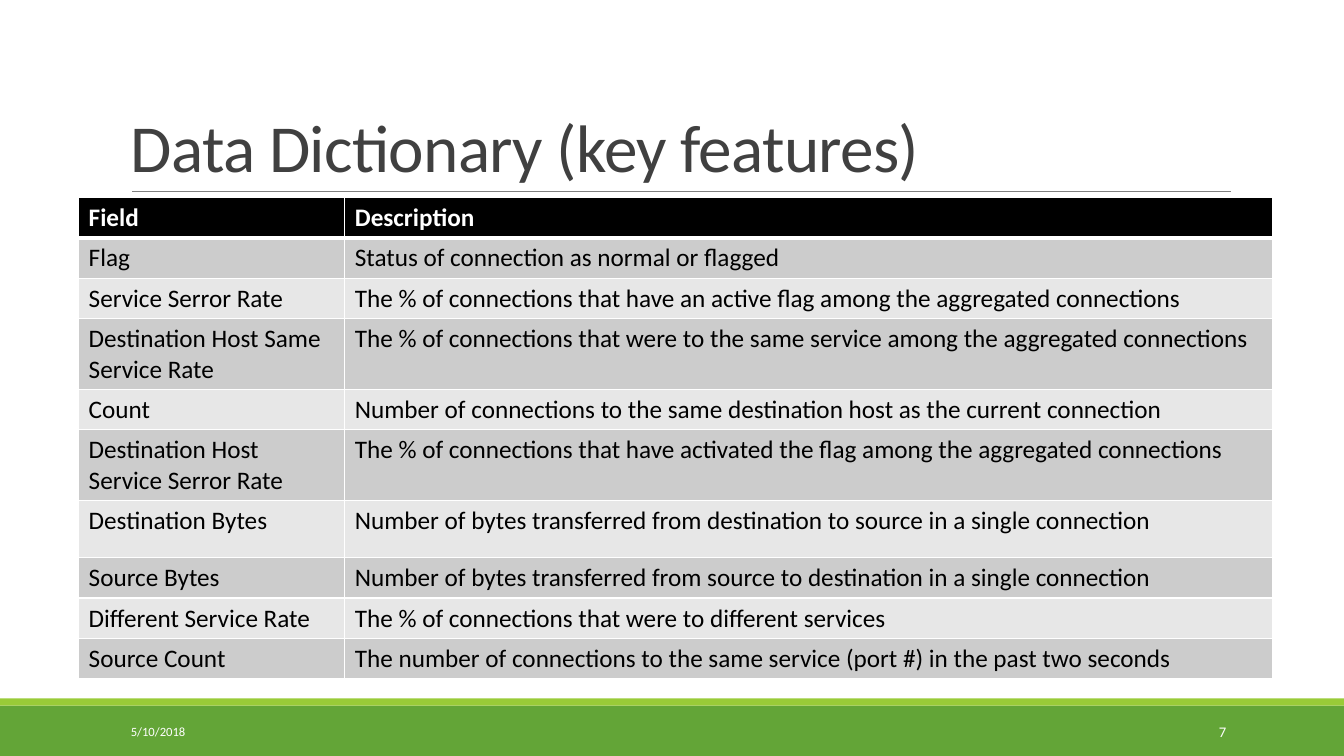
from lxml.etree import SubElement
from pptx import Presentation
from pptx.dml.color import RGBColor
from pptx.enum.shapes import MSO_CONNECTOR, MSO_SHAPE
from pptx.enum.text import MSO_ANCHOR, PP_ALIGN
from pptx.oxml.ns import qn
from pptx.util import Inches, Pt

FONT = "Calibri"
WHITE = "FFFFFF"
SLIDE_WIDTH, SLIDE_HEIGHT = 13.33, 7.5
COLUMN_WIDTHS = (2.64, 9.2)
ROW_HEIGHT, TALL_ROW_HEIGHT = 0.33, 0.57
TALL_FIELD = "Destination Bytes"
FIELDS = [
    ("Field", "Description"),
    ("Flag", "Status of connection as normal or flagged"),
    ("Service Serror Rate",
     "The % of connections that have an active flag among the aggregated connections"),
    ("Destination Host Same Service Rate",
     "The % of connections that were to the same service among the aggregated connections"),
    ("Count", "Number of connections to the same destination host as the current connection"),
    ("Destination Host Service Serror Rate",
     "The % of connections that have activated the flag among the aggregated connections"),
    (TALL_FIELD, "Number of bytes transferred from destination to source in a single connection"),
    ("Source Bytes",
     "Number of bytes transferred from source to destination in a single connection"),
    ("Different Service Rate", "The % of connections that were to different services"),
    ("Source Count",
     "The number of connections to the same service (port #) in the past two seconds"),
]


def color(hex_code):
    return RGBColor.from_string(hex_code)


def write_text(frame, text, size, hex_code, bold=False, align=PP_ALIGN.LEFT,
               line_spacing=None, tracking=None):
    """Put one formatted run in the frame; tracking is in points."""
    paragraph = frame.paragraphs[0]
    paragraph.alignment = align
    if line_spacing:
        paragraph.line_spacing = line_spacing
    run = paragraph.add_run()
    run.text = text
    run.font.name = FONT
    run.font.size = Pt(size)
    run.font.bold = bold
    run.font.color.rgb = color(hex_code)
    if tracking:
        run.font._element.set("spc", str(round(tracking * 100)))


def add_text(slide, box, text, anchor=MSO_ANCHOR.MIDDLE, **text_format):
    shape = slide.shapes.add_textbox(*map(Inches, box))
    frame = shape.text_frame
    frame.word_wrap = True
    frame.vertical_anchor = anchor
    write_text(frame, text, **text_format)


def add_bar(slide, box, hex_code):
    bar = slide.shapes.add_shape(MSO_SHAPE.RECTANGLE, *map(Inches, box))
    bar.shadow.inherit = False
    bar.fill.solid()
    bar.fill.fore_color.rgb = color(hex_code)
    bar.line.fill.background()


def add_title(slide, left, top, width, height):
    """Title resting on a thin rule at the bottom of the box."""
    bottom = top + height
    rule = slide.shapes.add_connector(
        MSO_CONNECTOR.STRAIGHT, Inches(left + 0.11), Inches(bottom),
        Inches(left + width + 0.01), Inches(bottom))
    rule.line.color.rgb = color("808080")
    rule.line.width = Pt(0.5)
    SubElement(rule._element.spPr, qn("a:effectLst"))
    add_text(slide, (left, top, width, height), "Data Dictionary (key features)",
             anchor=MSO_ANCHOR.BOTTOM, size=48, hex_code="404040",
             line_spacing=0.85, tracking=-0.5)


def set_borders(cell, top, bottom):
    """White borders: 1 pt at the sides, the given points above and below."""
    properties = cell._tc.get_or_add_tcPr()
    for side, points in (("L", 1), ("R", 1), ("T", top), ("B", bottom)):
        line = SubElement(properties, qn(f"a:ln{side}"), w=str(Pt(points)))
        fill = SubElement(line, qn("a:solidFill"))
        SubElement(fill, qn("a:srgbClr"), val=WHITE)


def row_fill(row_index):
    if row_index == 0:
        return "000000"
    return "CCCCCC" if row_index % 2 else "E7E7E7"


def add_dictionary_table(slide, left, top):
    heights = [TALL_ROW_HEIGHT if field == TALL_FIELD else ROW_HEIGHT for field, _ in FIELDS]
    table = slide.shapes.add_table(
        len(FIELDS), len(COLUMN_WIDTHS), Inches(left), Inches(top),
        Inches(sum(COLUMN_WIDTHS)), Inches(sum(heights))).table
    for column, width in zip(table.columns, COLUMN_WIDTHS):
        column.width = Inches(width)
    for row_index, (texts, height) in enumerate(zip(FIELDS, heights)):
        table.rows[row_index].height = Inches(height)
        is_header = row_index == 0
        for column_index, text in enumerate(texts):
            cell = table.cell(row_index, column_index)
            set_borders(cell, top=3 if row_index == 1 else 1, bottom=3 if is_header else 1)
            cell.fill.solid()
            cell.fill.fore_color.rgb = color(row_fill(row_index))
            write_text(cell.text_frame, text, size=18, bold=is_header,
                       hex_code=WHITE if is_header else "000000")


def add_footer(slide, left, top, width, height):
    """Green band with an accent strip above it, the date and the slide number."""
    strip_height = 0.07
    add_bar(slide, (left, top, width, height), "63A537")
    add_bar(slide, (left, top - strip_height, width, strip_height), "99CB38")
    text_top = top + 0.06
    add_text(slide, (left + 1.2, text_top, 2.7, 0.4), "5/10/2018", size=9, hex_code=WHITE)
    add_text(slide, (left + 10.83, text_top, 1.43, 0.4), "7", size=10.5, hex_code=WHITE,
             align=PP_ALIGN.RIGHT)


def main():
    presentation = Presentation()
    presentation.slide_width = Inches(SLIDE_WIDTH)
    presentation.slide_height = Inches(SLIDE_HEIGHT)
    slide = presentation.slides.add_slide(presentation.slide_layouts[6])
    add_footer(slide, 0, 7, SLIDE_WIDTH, 0.5)
    add_title(slide, 1.2, 0.31, 11, 1.59)
    add_dictionary_table(slide, 0.78, 1.96)
    presentation.save("out.pptx")


if __name__ == "__main__":
    main()
